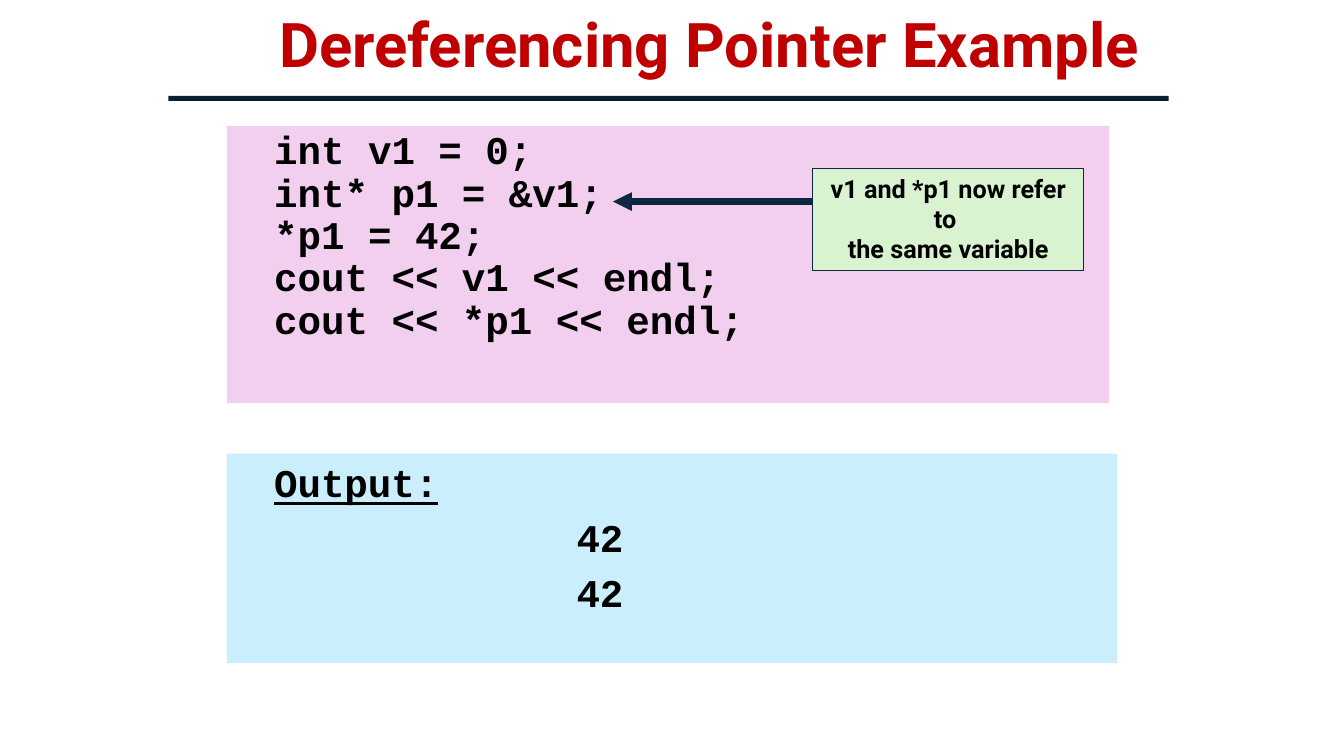
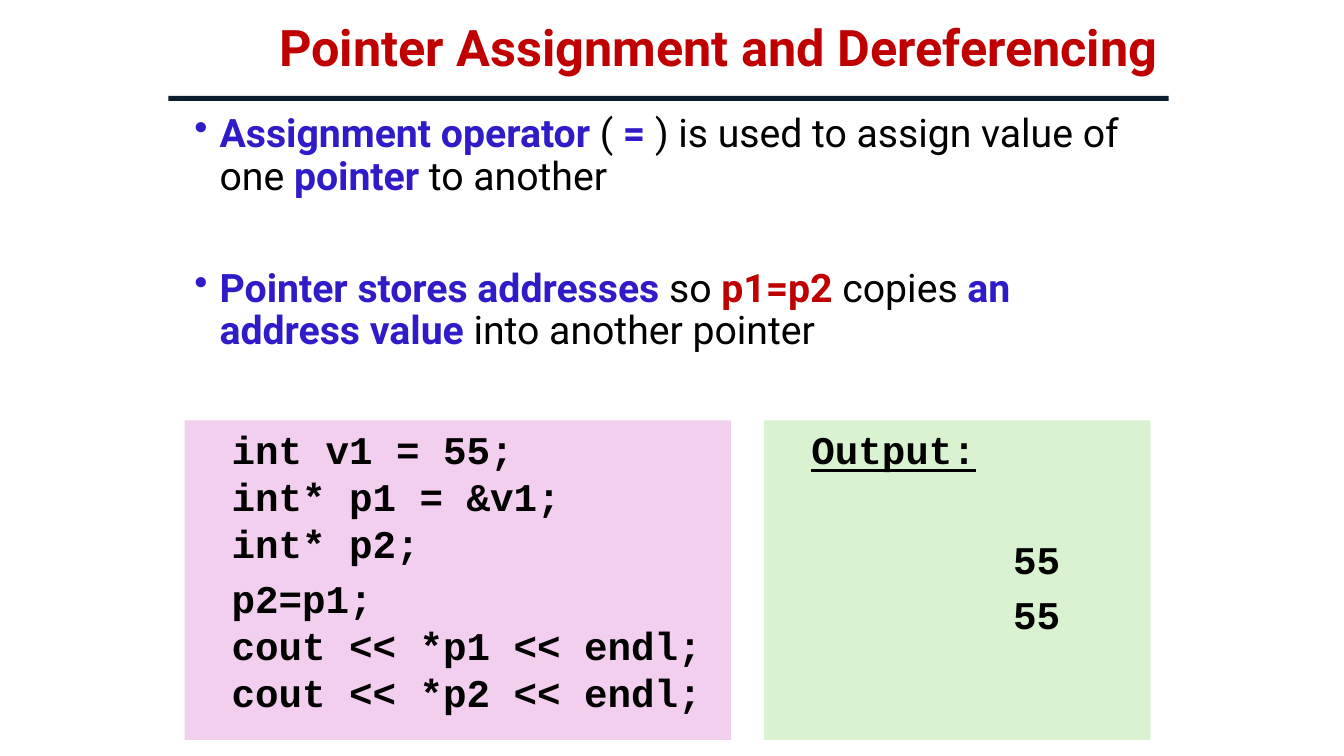
import pptx
import pptx.util
import pptx.dml.color
import pptx.enum.shapes
import pptx.enum.text
import lxml.etree

Inches, Pt = pptx.util.Inches, pptx.util.Pt
RGB = pptx.dml.color.RGBColor.from_string
ANCHOR = pptx.enum.text.MSO_ANCHOR
CENTER = pptx.enum.text.PP_ALIGN.CENTER
NS = "http://schemas.openxmlformats.org/drawingml/2006/main"
HUE = {"black": "000000", "red": "C00000", "blue": "2F1BC7", "rule": "0B1E31",
       "navy": "0E2841", "pink": "F2CFEE", "green": "D9F2D0", "sky": "CAEEFB"}
SANS, MONO = "Roboto", "Courier New"
INDENT = 0.37


def box(slide, at, fill=None):
    """Add a filled rectangle, or a plain text box when there is no fill."""
    at = [Inches(n) for n in at]
    if fill:
        shape = slide.shapes.add_shape(pptx.enum.shapes.MSO_SHAPE.RECTANGLE, *at)
        shape.shadow.inherit = False
        shape.fill.solid()
        shape.fill.fore_color.rgb = RGB(HUE[fill])
        shape.line.fill.background()
    else:
        shape = slide.shapes.add_textbox(*at)
    shape.text_frame.word_wrap = True
    shape.text_frame.vertical_anchor = ANCHOR.TOP
    return shape


def write(shape, text, face, size, color="black", left=0, gap=0, pitch=1.0):
    """Add a bold paragraph, in the first one if that is still empty."""
    frame = shape.text_frame
    para = frame.paragraphs[0] if not frame.text else frame.add_paragraph()
    para.text = text
    para.alignment = pptx.enum.text.PP_ALIGN.LEFT
    para.space_before = Pt(gap)
    para.line_spacing = pitch
    para.font.name, para.font.size, para.font.bold = face, Pt(size), True
    para.font.color.rgb = RGB(HUE[color])
    para._p.get_or_add_pPr().set("marL", str(Inches(left)))
    return para


deck = pptx.Presentation()
deck.slide_width, deck.slide_height = Inches(13.33), Inches(7.5)

# Titles and the rule below them
pages = []
for text, size, high in [("Dereferencing Pointer Example", 44, 0.95),
                         ("Pointer Assignment and Dereferencing", 36, 1)]:
    page = deck.slides.add_slide(deck.slide_layouts[6])
    title = box(page, (2.67, 0, 9, high))
    title.text_frame.vertical_anchor = ANCHOR.MIDDLE
    write(title, text, SANS, size, "red", pitch=0.9)
    box(page, (1.67, 0.95, 9.92, 0.05), "rule")
    pages.append(page)
first, second = pages

# Code panels: blocks of lines
for page, at, pitch, blocks in [
    (first, (2.25, 1.25, 8.75, 2.75), 0.9,
     ["int v1 = 0;\nint* p1 = &v1;\n*p1 = 42;\ncout << v1 << endl;\ncout << *p1 << endl;"]),
    (second, (1.83, 4.17, 5.42, 3.17), 1.0,
     ["int v1 = 55;\nint* p1 = &v1;\nint* p2;",
      "p2=p1;\ncout << *p1 << endl;\ncout << *p2 << endl;"]),
]:
    panel = box(page, at, "pink")
    for row, block in enumerate(blocks):
        write(panel, block, MONO, 28, left=INDENT, gap=5.6 if row else 0, pitch=pitch)

# Output panels: a heading and the same value twice
for page, at, fill, value, tab, gap in [
    (first, (2.25, 4.5, 8.83, 2.08), "sky", "42", 3, 5.6),
    (second, (7.58, 4.17, 3.83, 3.17), "green", "55", 2, 45),
]:
    panel = box(page, at, fill)
    write(panel, "Output:", MONO, 28, left=INDENT).font.underline = True
    for space in (gap, 5.6):
        write(panel, value, MONO, 28, left=INDENT + tab, gap=space)

# Callout with its arrow
note = box(first, (8.06, 1.67, 2.69, 1.01), "green")
note.line.color.rgb = RGB(HUE["navy"])
note.line.width = Pt(0.75)
write(note, "v1 and *p1 now refer to \nthe same variable", SANS, 18).alignment = CENTER
arrow = first.shapes.add_connector(pptx.enum.shapes.MSO_CONNECTOR.STRAIGHT,
                                   Inches(8.05), Inches(2), Inches(6.08), Inches(2))
arrow.line.color.rgb = RGB(HUE["navy"])
arrow.line.width = Pt(4.5)
lxml.etree.SubElement(arrow.line._get_or_add_ln(), f"{{{NS}}}tailEnd", type="triangle")
lxml.etree.SubElement(arrow._element.spPr, f"{{{NS}}}effectLst")

# Bullets: coloured runs are bold, black ones are not
points = [
    [("Assignment operator ", "blue"), ("( ", "black"), ("=", "blue"),
     (" ) is used to assign value of one ", "black"), ("pointer", "blue"),
     (" to another", "black")],
    [("Pointer stores addresses ", "blue"), ("so ", "black"), ("p1=p2", "red"),
     (" copies ", "black"), ("an address value", "blue"),
     (" into another pointer", "black")],
]
body = box(second, (1.83, 1.08, 9.67, 2.75))
for row, point in enumerate(points):
    para = write(body, "", SANS, 28, "blue", left=0.25, gap=50 if row else 0, pitch=0.9)
    props = para._p.get_or_add_pPr()
    props.set("indent", str(Inches(-0.25)))
    bullet = lxml.etree.Element(f"{{{NS}}}buChar", char="•")
    props.find(f"{{{NS}}}defRPr").addprevious(bullet)
    for text, color in point:
        run = para.add_run()
        run.text = text
        run.font.bold = color != "black"
        run.font.color.rgb = RGB(HUE[color])

deck.save("out.pptx")
